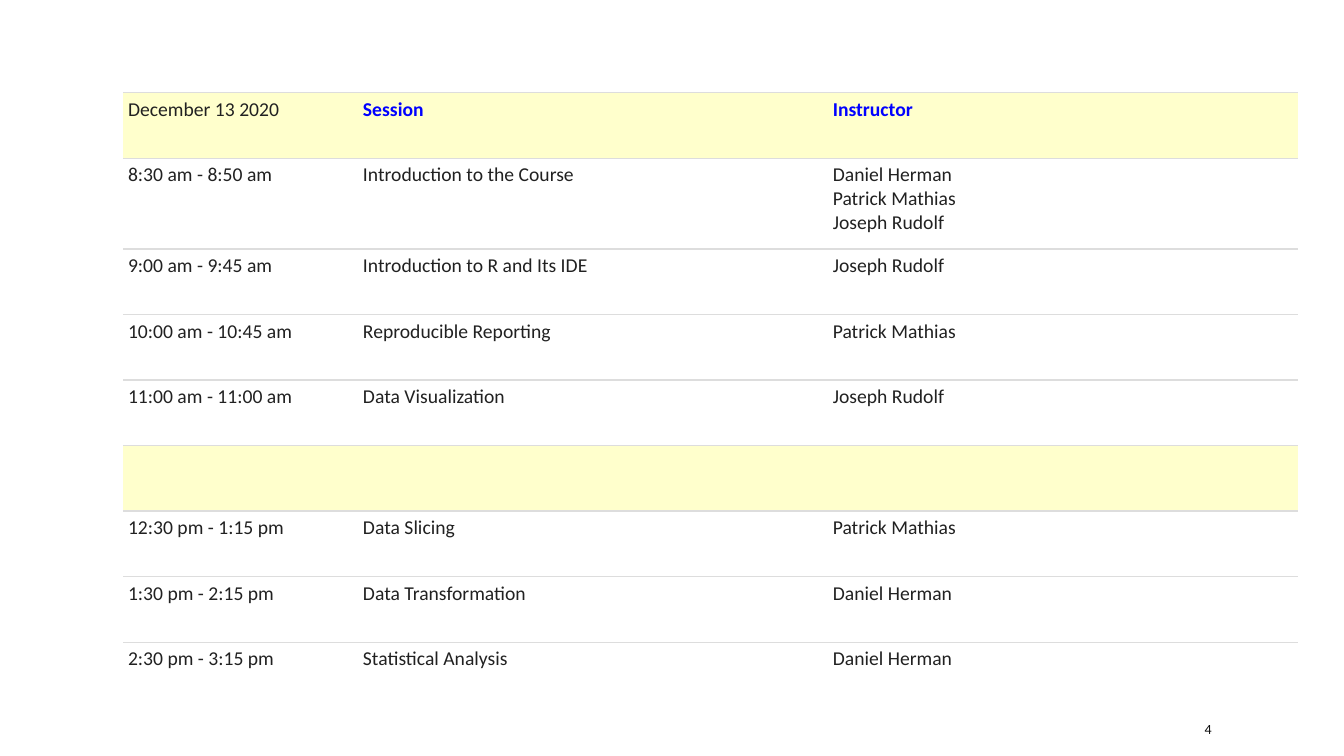
import pptx
import pptx.util
import pptx.dml.color
import pptx.enum.text
import pptx.oxml.ns
import lxml.etree

Inches = pptx.util.Inches
Pt = pptx.util.Pt
RGBColor = pptx.dml.color.RGBColor

WHITE = RGBColor(0xFF, 0xFF, 0xFF)
CREAM = RGBColor(0xFF, 0xFF, 0xCC)
BLUE = RGBColor(0x00, 0x00, 0xFF)
INK = RGBColor(0x21, 0x21, 0x21)
NEAR_BLACK = RGBColor(0x0D, 0x0D, 0x0D)
RULE = RGBColor(0xDD, 0xDD, 0xDD)

FONT = "Calibri"
COLUMN = Inches(2.33)
COLUMN_SPANS = (1, 2, 2)
ROW = Inches(0.65)
TALL_ROW = Inches(0.9)

SCHEDULE = [
    ("December 13 2020", "Session", "Instructor"),
    ("8:30 am - 8:50 am", "Introduction to the Course",
     "Daniel Herman\nPatrick Mathias\nJoseph Rudolf"),
    ("9:00 am - 9:45 am", "Introduction to R and Its IDE", "Joseph Rudolf"),
    ("10:00 am - 10:45 am", "Reproducible Reporting", "Patrick Mathias"),
    ("11:00 am - 11:00 am", "Data Visualization", "Joseph Rudolf"),
    ("", "", ""),
    ("12:30 pm - 1:15 pm", "Data Slicing", "Patrick Mathias"),
    ("1:30 pm - 2:15 pm", "Data Transformation", "Daniel Herman"),
    ("2:30 pm - 3:15 pm", "Statistical Analysis", "Daniel Herman"),
]


def add_run(p, text, size, color, bold=False):
    r = p.add_run()
    r.text = text
    r.font.name = FONT
    r.font.size = Pt(size)
    r.font.bold = bold
    r.font.color.rgb = color


def set_borders(cell, ruled_sides):
    qn = pptx.oxml.ns.qn
    tc_pr = cell._tc.get_or_add_tcPr()
    for i, side in enumerate("LRTB"):
        ln = lxml.etree.Element(qn(f"a:ln{side}"), w=str(Pt(1)))
        if side in ruled_sides:
            fill = lxml.etree.SubElement(ln, qn("a:solidFill"))
            lxml.etree.SubElement(fill, qn("a:srgbClr"), val=str(RULE))
        else:
            lxml.etree.SubElement(ln, qn("a:noFill"))
        tc_pr.insert(i, ln)


def fill_cell(cell, text, fill, color, bold, ruled_sides):
    cell.margin_left = cell.margin_right = Inches(0.05)
    cell.margin_top = cell.margin_bottom = Inches(0.05)
    cell.fill.solid()
    cell.fill.fore_color.rgb = fill
    set_borders(cell, ruled_sides)
    if not text:
        return
    p = cell.text_frame.paragraphs[0]
    p.space_after = Pt(15)
    for i, line in enumerate(text.split("\n")):
        if i:
            p.add_line_break()
        add_run(p, line, 14, color, bold)


def add_schedule(s, left, top):
    heights = [TALL_ROW if "\n" in row[2] else ROW for row in SCHEDULE]
    tbl = s.shapes.add_table(len(SCHEDULE), len(COLUMN_SPANS), left, top,
                             COLUMN * sum(COLUMN_SPANS), sum(heights)).table
    tbl.first_row = False
    tbl.horz_banding = False
    for column, span in zip(tbl.columns, COLUMN_SPANS):
        column.width = COLUMN * span
    for i, row in enumerate(SCHEDULE):
        tbl.rows[i].height = heights[i]
        fill = CREAM if i == 0 or not any(row) else WHITE
        ruled_sides = "T" if i == len(SCHEDULE) - 1 else "TB"
        for j, text in enumerate(row):
            heading = i == 0 and j > 0
            fill_cell(tbl.cell(i, j), text, fill, BLUE if heading else INK,
                      heading, ruled_sides)


def add_page_number(s, text, left, top, width, height):
    tf = s.shapes.add_textbox(left, top, width, height).text_frame
    tf.word_wrap = True
    tf.vertical_anchor = pptx.enum.text.MSO_ANCHOR.MIDDLE
    add_run(tf.paragraphs[0], text, 10, NEAR_BLACK)


def main():
    prs = pptx.Presentation()
    prs.slide_width = Inches(13.33)
    prs.slide_height = Inches(7.5)
    s = prs.slides.add_slide(prs.slide_layouts[6])
    add_schedule(s, Inches(1.22), Inches(0.92))
    add_page_number(s, "4", Inches(11.85), Inches(7.08), Inches(1.06), Inches(0.3))
    prs.save("out.pptx")


if __name__ == "__main__":
    main()
